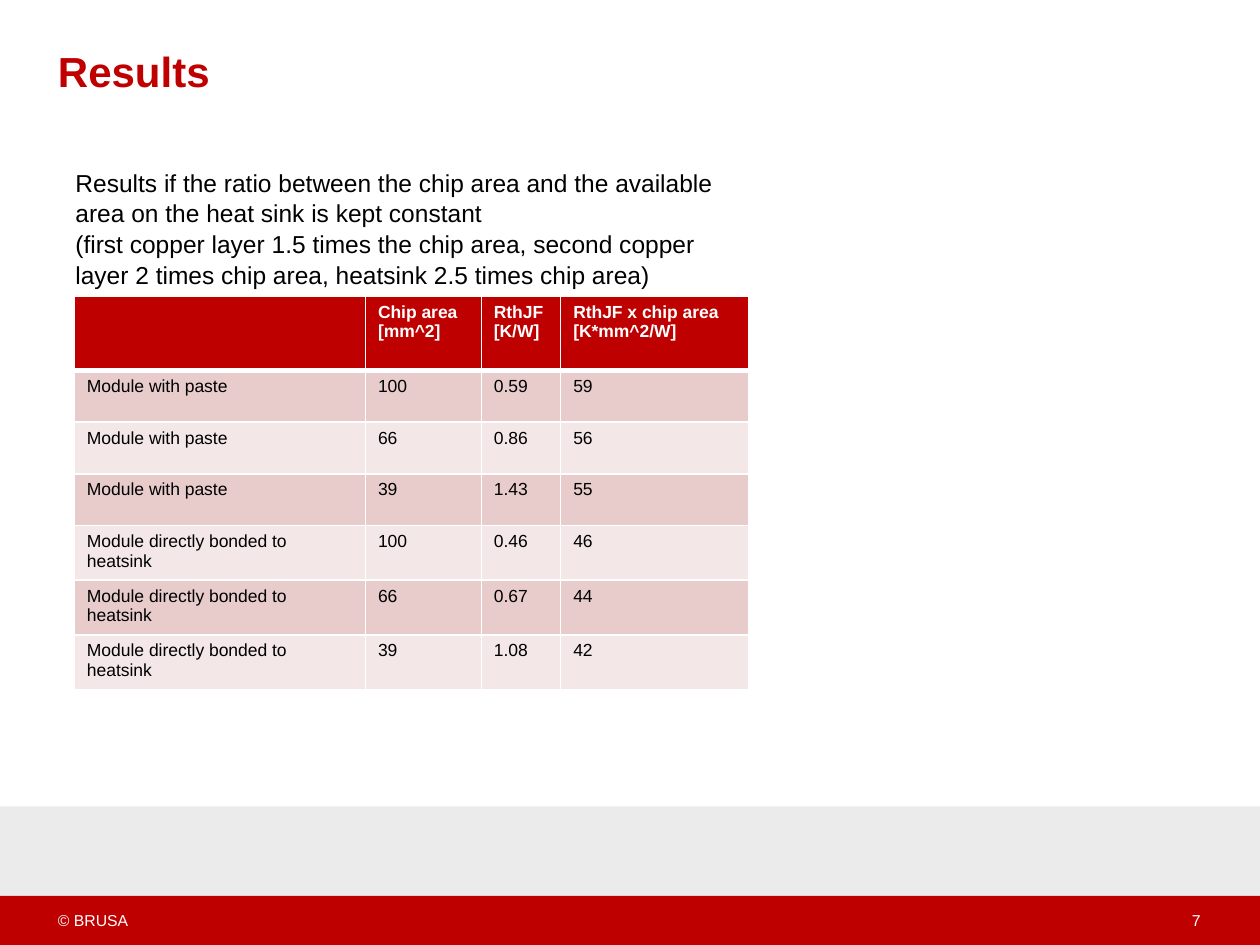
import pptx
import pptx.dml.color
import pptx.enum.shapes
import pptx.enum.text
import pptx.oxml
import pptx.oxml.ns
import pptx.util

COLORS = {
    "brand": "BE0000", "title": "C00000", "band": "EBEBEB",
    "odd": "E8CCCC", "even": "F4E7E7", "ink": "000000", "white": "FFFFFF",
}
ALIGN = pptx.enum.text.PP_ALIGN
ANCHOR = pptx.enum.text.MSO_ANCHOR
NO_INSETS = dict.fromkeys(
    ("margin_left", "margin_top", "margin_right", "margin_bottom"), 0)


def rgb(name):
    return pptx.dml.color.RGBColor.from_string(COLORS[name])


def apply(target, values):
    for key, value in values.items():
        setattr(target, key, value)


class Deck:
    """Style and current slide; positions are percentages of the slide."""

    def __init__(self, width, height):
        self.prs = pptx.Presentation()
        self.prs.slide_width = pptx.util.Inches(width)
        self.prs.slide_height = pptx.util.Inches(height)
        self.slide = self.prs.slides.add_slide(self.prs.slide_layouts[5])

    def x(self, share):
        return round(self.prs.slide_width * share / 100)

    def y(self, share):
        return round(self.prs.slide_height * share / 100)

    def box(self, left, top, width, height):
        return self.x(left), self.y(top), self.x(width), self.y(height)

    def set_lines(self, frame, lines, size, color, bold=False, **paragraph_format):
        for i, line in enumerate(lines):
            paragraph = frame.add_paragraph() if i else frame.paragraphs[0]
            paragraph.text = line
            apply(paragraph, paragraph_format)
            apply(paragraph.font, {"name": "Arial", "bold": bold,
                                   "size": pptx.util.Pt(size)})
            paragraph.font.color.rgb = rgb(color)

    def band(self, at, color):
        band = self.slide.shapes.add_shape(
            pptx.enum.shapes.MSO_SHAPE.RECTANGLE, *self.box(*at))
        band.shadow.inherit = False
        band.fill.solid()
        band.fill.fore_color.rgb = rgb(color)
        band.line.fill.background()

    def title(self, at, heading):
        title = self.slide.shapes.title
        apply(title, dict(zip(("left", "top", "width", "height"), self.box(*at))))
        apply(title.text_frame, {**NO_INSETS, "vertical_anchor": ANCHOR.TOP})
        self.set_lines(title.text_frame, [heading], 24, "title", True,
                       alignment=ALIGN.LEFT)

    def text(self, at, lines, size, color, frame_format, **paragraph_format):
        frame = self.slide.shapes.add_textbox(*self.box(*at)).text_frame
        apply(frame, {"word_wrap": True, **frame_format})
        self.set_lines(frame, lines, size, color, **paragraph_format)

    def borders(self, cell, widths):
        properties = cell._tc.get_or_add_tcPr()
        for i, (side, width) in enumerate(widths.items()):
            properties.insert(i, pptx.oxml.parse_xml(
                f'<a:ln{side} {pptx.oxml.ns.nsdecls("a")} w="{int(pptx.util.Pt(width))}">'
                f'<a:solidFill><a:srgbClr val="{COLORS["white"]}"/></a:solidFill>'
                f'</a:ln{side}>'))

    def table(self, left, top, columns, heights, rows):
        at = self.box(left, top, sum(columns), sum(heights))
        table = self.slide.shapes.add_table(len(rows), len(columns), *at).table
        for column, width in zip(table.columns, columns):
            column.width = self.x(width)
        for r, (height, values) in enumerate(zip(heights, rows)):
            table.rows[r].height = self.y(height)
            header = r == 0
            fill = "brand" if header else "odd" if r % 2 else "even"
            for c, value in enumerate(values):
                cell = table.cell(r, c)
                cell.fill.solid()
                cell.fill.fore_color.rgb = rgb(fill)
                self.borders(cell, {"L": 1, "R": 1, "T": 3 if r == 1 else 1,
                                    "B": 3 if header else 1})
                self.set_lines(cell.text_frame, value.split("\n"), 10,
                               "white" if header else "ink", header)


def main():
    deck = Deck(10, 7.5)

    # Footer bands, copyright and page number
    deck.band((0, 85.33, 100, 14.67), "band")
    deck.band((0, 94.8, 100, 5.2), "brand")
    footer = {**NO_INSETS, "vertical_anchor": ANCHOR.MIDDLE}
    deck.text((4.6, 94.8, 31.7, 5.2), ["© BRUSA"], 9, "white", footer)
    deck.text((72, 94.8, 23.3, 5.2), ["7"], 9, "white", footer,
              alignment=ALIGN.RIGHT)

    # Heading and introduction
    deck.title((4.6, 4.8, 72.1, 12.13), "Results")
    deck.text((5, 16.93, 52.8, 13.87), [
        "Results if the ratio between the chip area and the available area "
        "on the heat sink is kept constant",
        "(first copper layer 1.5 times the chip area, second copper layer "
        "2 times chip area, heatsink 2.5 times chip area)",
    ], 14, "ink", {}, line_spacing=1.05)

    # Thermal resistance by module type and chip area
    paste, bonded = "Module with paste", "Module directly bonded to heatsink"
    deck.table(5.9, 31.33, [23.1, 9.2, 6.3, 14.9],
               [7.87] + [5.47] * 3 + [5.77] * 3, [
        ["", "Chip area [mm^2]", "RthJF\n[K/W]", "RthJF x chip area\n[K*mm^2/W]"],
        [paste, "100", "0.59", "59"],
        [paste, "66", "0.86", "56"],
        [paste, "39", "1.43", "55"],
        [bonded, "100", "0.46", "46"],
        [bonded, "66", "0.67", "44"],
        [bonded, "39", "1.08", "42"],
    ])

    deck.prs.save("out.pptx")


if __name__ == "__main__":
    main()
